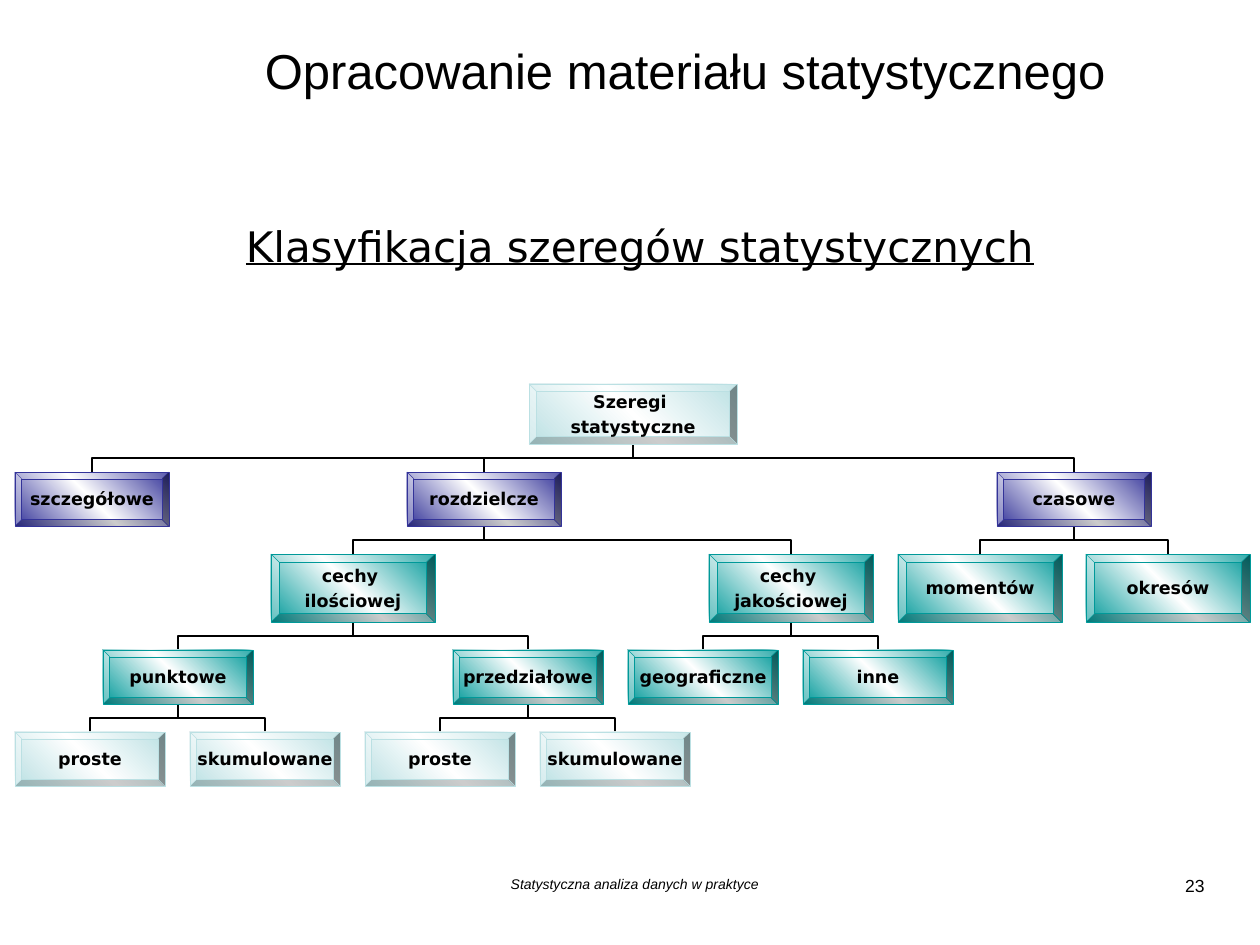
from copy import deepcopy
from dataclasses import dataclass

from pptx import Presentation
from pptx.dml.color import RGBColor
from pptx.enum.shapes import MSO_CONNECTOR as Connector, MSO_SHAPE as Shape
from pptx.enum.text import MSO_ANCHOR as Anchor, MSO_AUTO_SIZE as AutoSize, PP_ALIGN as Align
from pptx.oxml.ns import qn
from pptx.oxml.xmlchemy import OxmlElement
from pptx.util import Emu, Inches, Pt

PX_PER_INCH = 126


@dataclass(frozen=True)
class Theme:
    sans: str = "Arial"
    diagram: str = "DejaVu Sans"
    ink: str = "000000"
    white: str = "FFFFFF"
    pale: str = "BBE0E3"
    indigo: str = "333399"
    teal: str = "009999"
    title: int = 28
    heading: int = 24
    node: int = 10
    number: int = 10
    footer: int = 8


@dataclass(frozen=True)
class Box:
    left: int
    top: int
    width: int
    height: int

    @property
    def centre(self):
        return self.left + self.width / 2

    @property
    def bottom(self):
        return self.top + self.height


@dataclass(frozen=True)
class Level:
    width: int
    height: int
    colour: str


@dataclass(frozen=True)
class Node:
    """A box of the tree; centre is measured from the left of the tree."""
    label: str
    centre: int
    children: tuple = ()


THEME = Theme()
LEVEL_GAP = 28
LEVELS = (
    Level(208, 60, THEME.pale),
    Level(154, 54, THEME.indigo),
    Level(164, 68, THEME.teal),
    Level(150, 54, THEME.teal),
    Level(150, 54, THEME.pale),
)


def leaf_pair(first_centre):
    return Node("proste", first_centre), Node("skumulowane", first_centre + 175)


SERIES_TREE = Node("Szeregi \nstatystyczne", 618, (
    Node("szczegółowe", 77),
    Node("rozdzielcze", 469, (
        Node("cechy \nilościowej", 338, (
            Node("punktowe", 163, leaf_pair(75)),
            Node("przedziałowe", 513, leaf_pair(425)),
        )),
        Node("cechy \njakościowej", 776, (
            Node("geograficzne", 688),
            Node("inne", 863),
        )),
    )),
    Node("czasowe", 1059, (
        Node("momentów", 965),
        Node("okresów", 1153),
    )),
))


def px(length):
    return Emu(round(length * Inches(1) / PX_PER_INCH))


def place(box):
    return px(box.left), px(box.top), px(box.width), px(box.height)


def colour(value):
    return RGBColor.from_string(value)


def format_font(paragraph, name, size, bold=False, italic=False, underline=False):
    font = paragraph.font
    font.name, font.size = name, Pt(size)
    font.bold, font.italic, font.underline = bold, italic, underline
    font.color.rgb = colour(THEME.ink)


def add_title(slide, box, text):
    title = slide.shapes.title
    title.left, title.top, title.width, title.height = place(box)
    frame = title.text_frame
    frame.text = text
    frame.auto_size = AutoSize.NONE
    frame.vertical_anchor = Anchor.MIDDLE
    frame.paragraphs[0].alignment = Align.CENTER
    format_font(frame.paragraphs[0], THEME.sans, THEME.title)


def add_text(slide, box, text, name, size, alignment=Align.CENTER, **style):
    frame = slide.shapes.add_textbox(*place(box)).text_frame
    frame.word_wrap = True
    frame.text = text
    frame.paragraphs[0].alignment = alignment
    format_font(frame.paragraphs[0], name, size, **style)


def fill_with_sheen(shape, edge_colour):
    """Diagonal gradient that is white in the middle."""
    fill = shape.fill
    fill.gradient()
    fill.gradient_angle = 225
    stop_list = shape.element.spPr.find(".//" + qn("a:gsLst"))
    stop_list.append(deepcopy(stop_list[-1]))
    stops = ((0, edge_colour), (0.5, THEME.white), (1, edge_colour))
    for stop, (position, value) in zip(fill.gradient_stops, stops):
        stop.position = position
        stop.color.rgb = colour(value)


def add_node(group, box, label, edge_colour):
    shape = group.shapes.add_shape(Shape.BEVEL, *place(box))
    shape.shadow.inherit = False
    fill_with_sheen(shape, edge_colour)
    shape.line.color.rgb = colour(edge_colour)
    shape.line.width = Pt(0.25)
    frame = shape.text_frame
    frame.word_wrap = False
    frame.vertical_anchor = Anchor.MIDDLE
    frame.margin_left = frame.margin_right = px(6)
    frame.margin_top = frame.margin_bottom = px(4)
    frame.text = label
    for index, paragraph in enumerate(frame.paragraphs):
        paragraph.alignment = Align.CENTER
        paragraph.space_before = Pt(2.5 if index else 0)
        format_font(paragraph, THEME.diagram, THEME.node, bold=True)


def add_branch(group, child, parent):
    """Elbow from a child's top to its parent's bottom, turned so that it leaves vertically."""
    middle_x = (child.centre + parent.centre) / 2
    middle_y = (child.top + parent.bottom) / 2
    on_left = child.centre < parent.centre
    half_drop = (child.top - parent.bottom) / 2 * (1 if on_left else -1)
    half_span = abs(child.centre - parent.centre) / 2
    branch = group.shapes.add_connector(
        Connector.ELBOW,
        px(middle_x + half_drop), px(middle_y + half_span),
        px(middle_x - half_drop), px(middle_y - half_span))
    branch.line.color.rgb = colour(THEME.ink)
    branch.line.width = Pt(0.75)
    properties = branch.element.spPr
    properties.xfrm.rot = 90 if on_left else 270
    properties.append(OxmlElement("a:effectLst"))


def lay_out(node, left, top, depth=0, parent=None):
    """Yield (node, box, parent box, level) for the whole subtree."""
    level = LEVELS[depth]
    box = Box(left + node.centre - level.width // 2, top, level.width, level.height)
    yield node, box, parent, level
    for child in node.children:
        yield from lay_out(child, left, box.bottom + LEVEL_GAP, depth + 1, box)


def add_tree(slide, left, top, root):
    group = slide.shapes.add_group_shape()
    placed = list(lay_out(root, left, top))
    for _, box, parent, _ in placed:
        if parent:
            add_branch(group, box, parent)
    for node, box, _, level in placed:
        add_node(group, box, node.label, level.colour)


def main():
    presentation = Presentation()
    presentation.slide_width, presentation.slide_height = Inches(10), Inches(7.5)
    slide = presentation.slides.add_slide(presentation.slide_layouts[5])
    add_text(slide, Box(253, 869, 764, 39), "Statystyczna analiza danych w praktyce",
             THEME.sans, THEME.footer, italic=True)
    add_text(slide, Box(1137, 869, 80, 39), "23", THEME.sans, THEME.number, Align.RIGHT)
    add_title(slide, Box(154, 26, 1062, 87), "Opracowanie materiału statystycznego")
    add_tree(slide, 15, 384, SERIES_TREE)
    add_text(slide, Box(174, 214, 932, 63), "Klasyfikacja szeregów statystycznych",
             THEME.diagram, THEME.heading, underline=True)
    presentation.save("out.pptx")


if __name__ == "__main__":
    main()
